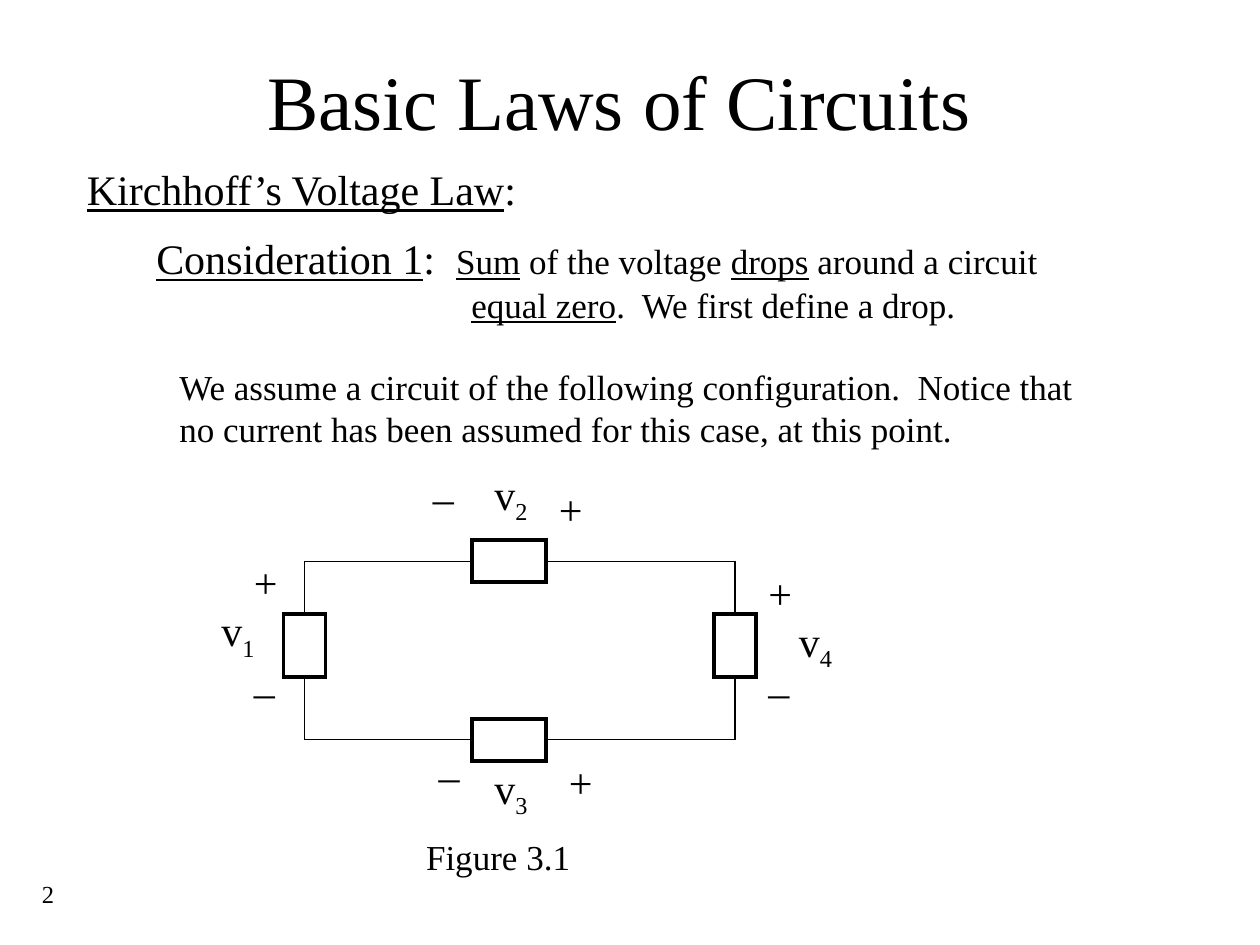
"""Kirchhoff's voltage law slide with a four-element circuit loop."""
from pptx import Presentation, util as u
from pptx.dml.color import RGBColor
from pptx.enum import shapes, text
from pptx.oxml.ns import qn
from lxml import etree

THEME = {
    "font": "Times New Roman", "ink": RGBColor(0, 0, 0), "paper": RGBColor(255, 255, 255),
    "title": 44, "heading": 24, "body": 20, "number": 14, "thick": 2.25, "thin": 0.75,
}
COLUMNS, ROWS = 120, 90

deck = Presentation()
deck.slide_width, deck.slide_height = u.Inches(10), u.Inches(7.5)
cell_w, cell_h = deck.slide_width / COLUMNS, deck.slide_height / ROWS
slide = deck.slides.add_slide(deck.slide_layouts[6])


def grid(*lengths):
    return [u.Emu(round(n * (cell_w, cell_h)[i % 2])) for i, n in enumerate(lengths)]


def write(place, size, *lines, indents=(), title=False):
    frame = slide.shapes.add_textbox(*grid(*place)).text_frame
    frame.word_wrap = title
    if title:
        frame.vertical_anchor = text.MSO_ANCHOR.MIDDLE
    else:
        frame.auto_size = text.MSO_AUTO_SIZE.SHAPE_TO_FIT_TEXT
    for i, line in enumerate(lines):
        paragraph = frame.add_paragraph() if i else frame.paragraphs[0]
        if title:
            paragraph.alignment = text.PP_ALIGN.CENTER
        if i < len(indents):
            paragraph._p.get_or_add_pPr().set("marL", str(grid(indents[i])[0]))
        paragraph.font.name = THEME["font"]
        paragraph.font.size = u.Pt(THEME[size])
        paragraph.font.color.rgb = THEME["ink"]
        for words, *marks in line:
            run = paragraph.add_run()
            run.text = words
            if "underline" in marks:
                run.font.underline = True
            if "heading" in marks:
                run.font.size = u.Pt(THEME["heading"])
            if "sub" in marks:
                run._r.get_or_add_rPr().set("baseline", "-25000")


write((7.1, 15, 43.9, 6), "heading", [("Kirchhoff’s Voltage Law", "underline"), (":",)])
write((8, 2, 102, 15), "title", [("Basic Laws of Circuits",)], title=True)
write((13.7, 21.6, 86.3, 10.1), "body",
      [("Consideration 1", "underline", "heading"), (":  ", "heading"), ("Sum", "underline"),
       (" of the voltage ",), ("drops", "underline"), (" around a circuit",)],
      [("equal zero", "underline"), (".  We first define a drop.",)], indents=(0, 30))
write((15.9, 34.2, 87.8, 9.2), "body",
      [("We assume a circuit of the following configuration.  Notice that",)],
      [("no current has been assumed for this case, at this point.",)])

left, right, top, bottom = 29, 70, 53.45, 70.45
side_top, side_height, side_width = 58.45, 6, 4
middle_left, middle_width, middle_height = 45, 7, 4
elements = [(x - side_width / 2, side_top, side_width, side_height) for x in (left, right)]
elements += [(middle_left, y - middle_height / 2, middle_width, middle_height) for y in (top, bottom)]
for place in elements:
    element = slide.shapes.add_shape(shapes.MSO_SHAPE.RECTANGLE, *grid(*place))
    element.shadow.inherit = False
    element.fill.solid()
    element.fill.fore_color.rgb = THEME["paper"]
    element.line.color.rgb = THEME["ink"]
    element.line.width = u.Pt(THEME["thick"])
    etree.SubElement(element._element.spPr.find(qn("a:ln")), qn("a:miter"), lim="800000")

for x, inner_x in ((left, middle_left), (right, middle_left + middle_width)):
    for y, inner_y in ((top, side_top), (bottom, side_top + side_height)):
        for ends in ((inner_x, y, x, y), (x, y, x, inner_y)):
            wire = slide.shapes.add_connector(shapes.MSO_CONNECTOR.STRAIGHT, *grid(*ends))
            wire.line.color.rgb = THEME["ink"]
            wire.line.width = u.Pt(THEME["thin"])
            etree.SubElement(wire._element.spPr, qn("a:effectLst"))

polarities = {
    ("+", 4.7): [(23, 52.45), (52.05, 45.5), (72, 53.45), (53, 71.45)],
    ("_", 4.3): [(23, 61.45), (40.05, 43), (72, 61.45), (40.6, 69.5)],
}
for (sign, width), corners in polarities.items():
    for corner in corners:
        write((*corner, width, 6), "heading", [(sign,)])

voltages = {"1": (19.9, 57), "2": (45.9, 44), "4": (74.9, 58), "3": (45.9, 72)}
for index, corner in voltages.items():
    write((*corner, 6, 6.7), "heading", [("v",), (index, "sub")])

write((39.4, 79, 16.1, 5.3), "body", [("Figure 3.1",)])
write((2.8, 83.15, 3.6, 4.1), "number", [("2",)])

deck.save("out.pptx")
